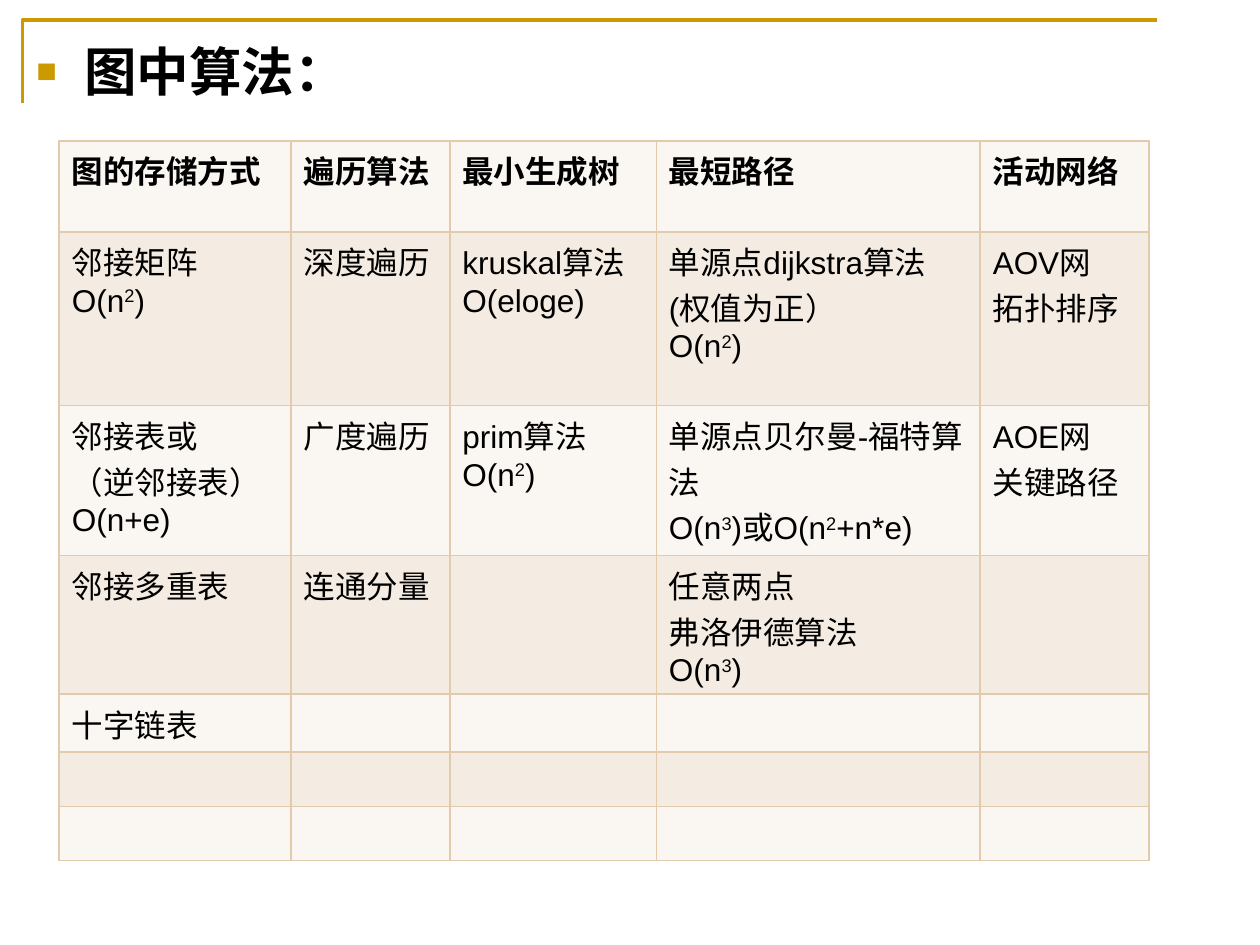
from lxml.etree import SubElement
from pptx import Presentation
from pptx.dml.color import RGBColor
from pptx.oxml.ns import qn
from pptx.util import Inches, Pt

FONT = "Arial"
GOLD = "CC9900"
BLACK = "000000"
BORDER = "E2CAAA"
ROW_FILLS = ("FAF6F1", "F4ECE2")
COLUMN_WIDTHS = (1.84, 1.26, 1.64, 2.57, 1.34)
ROW_HEIGHTS = (0.72, 1.38, 1.19, 1.1, 0.46, 0.43, 0.43)
ALGORITHMS = (
    ("图的存储方式", "遍历算法", "最小生成树", "最短路径", "活动网络"),
    ("邻接矩阵\nO(n^2)", "深度遍历", "kruskal算法\nO(eloge)",
     "单源点dijkstra算法\n(权值为正）\nO(n^2)", "AOV网\n拓扑排序"),
    ("邻接表或\n（逆邻接表）\nO(n+e)", "广度遍历", "prim算法\nO(n^2)",
     "单源点贝尔曼-福特算法\nO(n^3)或O(n^2+n*e)", "AOE网\n关键路径"),
    ("邻接多重表", "连通分量", "", "任意两点\n弗洛伊德算法\nO(n^3)", ""),
    ("十字链表", "", "", "", ""),
    ("", "", "", "", ""),
    ("", "", "", "", ""),
)


def color(value):
    return RGBColor.from_string(value)


def add_run(paragraph, text, size, bold=False, superscript=False):
    run = paragraph.add_run()
    run.text = text
    run.font.name = FONT
    run.font.size = Pt(size)
    run.font.bold = bold
    run.font.color.rgb = color(BLACK)
    if superscript:
        run.font._element.set("baseline", "30000")


def add_corner_line(slide, left, top, width, height):
    builder = slide.shapes.build_freeform(Inches(left), Inches(top + height))
    builder.add_line_segments(
        [(Inches(left), Inches(top)), (Inches(left + width), Inches(top))], close=False
    )
    shape = builder.convert_to_shape()
    shape.shadow.inherit = False
    shape.fill.background()
    shape.line.color.rgb = color(GOLD)
    shape.line.width = Pt(2)


def add_bullet(paragraph, indent):
    properties = paragraph._p.get_or_add_pPr()
    properties.set("marL", str(Inches(indent)))
    properties.set("indent", str(-Inches(indent)))
    bullet_color = SubElement(properties, qn("a:buClr"))
    SubElement(bullet_color, qn("a:srgbClr"), val=GOLD)
    SubElement(properties, qn("a:buSzPct"), val="65000")
    SubElement(properties, qn("a:buFont"), typeface=FONT)
    SubElement(properties, qn("a:buChar"), char="■")


def add_heading(slide, left, top, width, height):
    shape = slide.shapes.add_textbox(
        Inches(left), Inches(top), Inches(width), Inches(height)
    )
    shape.text_frame.word_wrap = True
    paragraph = shape.text_frame.paragraphs[0]
    paragraph.space_before = Pt(6)
    add_bullet(paragraph, 0.38)
    add_run(paragraph, "图中算法：", 30, bold=True)


def add_borders(cell):
    properties = cell._tc.get_or_add_tcPr()
    for position, side in enumerate(("lnL", "lnR", "lnT", "lnB")):
        line = properties.makeelement(qn(f"a:{side}"), {"w": str(Pt(1))})
        properties.insert(position, line)
        fill = SubElement(line, qn("a:solidFill"))
        SubElement(fill, qn("a:srgbClr"), val=BORDER)


def write_cell(cell, text, bold):
    cell.text_frame.text = text
    for paragraph, content in zip(cell.text_frame.paragraphs, text.split("\n")):
        paragraph.clear()
        paragraph.font.size = Pt(18)
        first, *powers = content.split("^")
        if first:
            add_run(paragraph, first, 18, bold)
        for power in powers:
            add_run(paragraph, power[0], 18, bold, superscript=True)
            add_run(paragraph, power[1:], 18, bold)


def add_algorithm_table(slide, left, top, width, height):
    table = slide.shapes.add_table(
        len(ROW_HEIGHTS), len(COLUMN_WIDTHS),
        Inches(left), Inches(top), Inches(width), Inches(height),
    ).table
    for column, share in zip(table.columns, COLUMN_WIDTHS):
        column.width = Inches(width * share / sum(COLUMN_WIDTHS))
    for row, share in zip(table.rows, ROW_HEIGHTS):
        row.height = Inches(height * share / sum(ROW_HEIGHTS))
    for row_index, texts in enumerate(ALGORITHMS):
        for column_index, text in enumerate(texts):
            cell = table.cell(row_index, column_index)
            write_cell(cell, text, bold=row_index == 0)
            cell.fill.solid()
            cell.fill.fore_color.rgb = color(ROW_FILLS[row_index % 2])
            add_borders(cell)


def main():
    presentation = Presentation()
    presentation.slide_width = Inches(10)
    presentation.slide_height = Inches(7.5)
    slide = presentation.slides.add_slide(presentation.slide_layouts[6])
    add_corner_line(slide, 0.18, 0.16, 9, 0.66)
    add_heading(slide, 0.19, 0.26, 9.53, 7.04)
    add_algorithm_table(slide, 0.47, 1.12, 8.65, 5.71)
    presentation.save("out.pptx")


if __name__ == "__main__":
    main()
